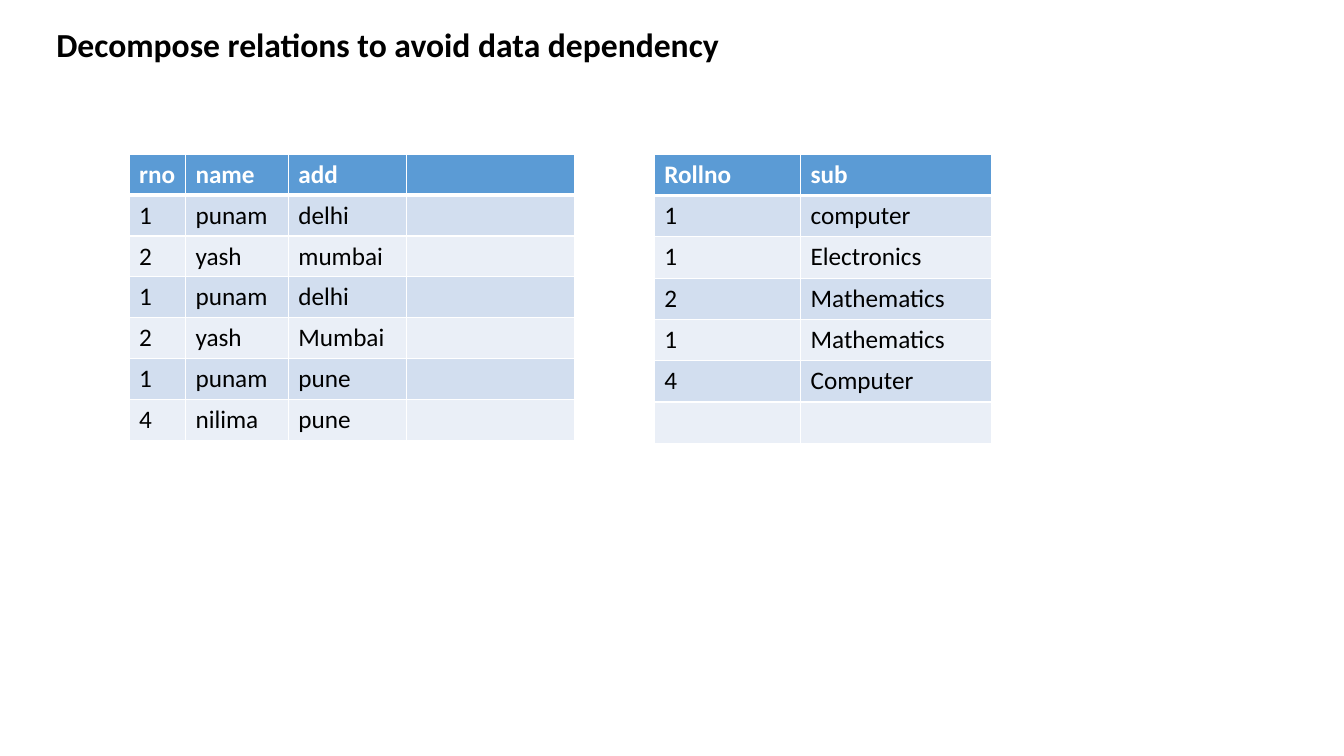
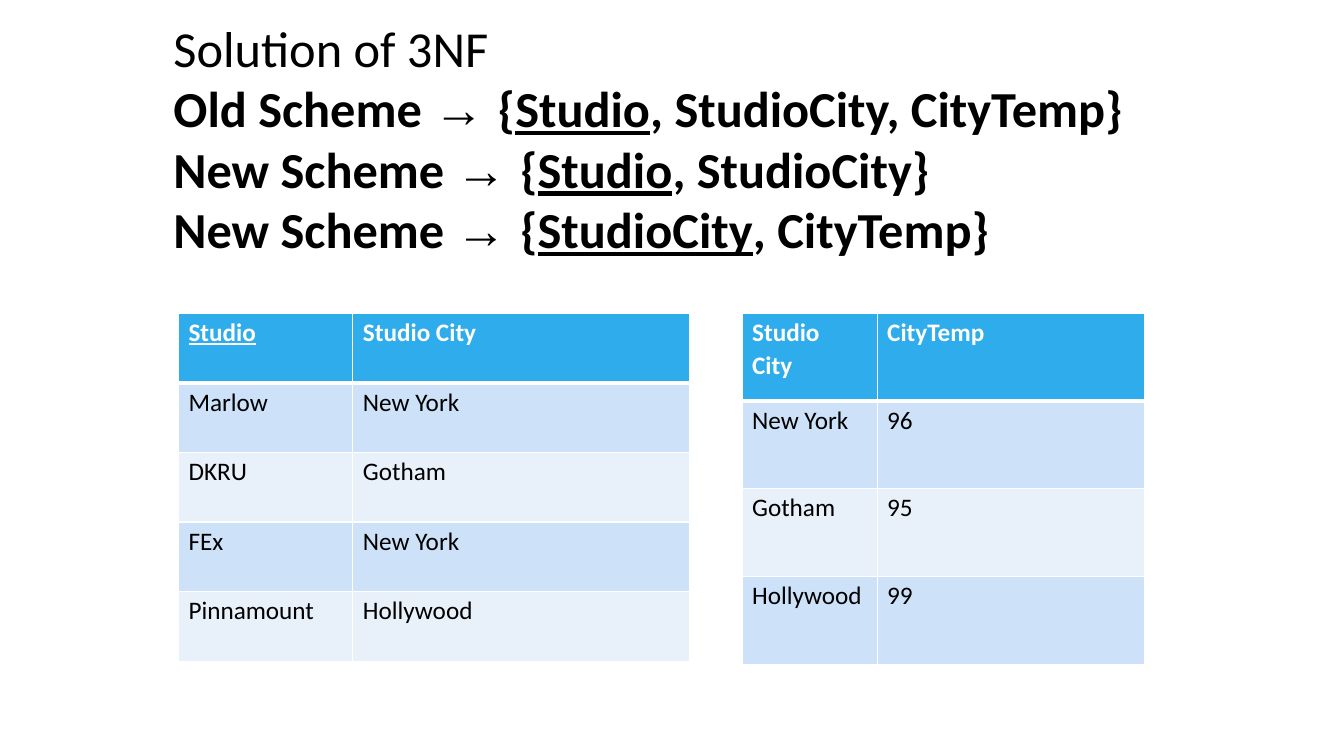
import pptx
import pptx.util
import pptx.dml.color
import pptx.enum.text
import pptx.oxml
import pptx.oxml.ns

PX = 9144  # EMU in one px, 100 px to the inch

THEME = {
    "font": "Calibri", "arrow_font": "Arial",
    "text": "000000", "header_text": "FFFFFF", "border": "FFFFFF",
    "title_size": 24, "scheme_size": 36, "cell_size": 18,
    "thin": 1, "thick": 3,
}

# Table looks: header fill, alternating row fills, insets (left, top, right, bottom)
STEEL = {"header": "5B9BD5", "bands": ("D2DEEF", "EAEFF7"),
         "insets": (10, 5, 10, 5), "before": (0, 0)}
SKY = {"header": "2FACEB", "bands": ("CDE2F8", "E8F0FA"),
       "insets": (10, 4, 0, 0), "before": (3, 1.6)}

# Content: underscores enclose underlined words, a line break starts a paragraph
DECOMPOSE_TITLE = "Decompose relations to avoid data dependency"
DECOMPOSE_TABLES = [
    {"at": (128, 153), "columns": (56, 102, 117, 167), "row_height": 40, "rows": [
        ("rno", "name", "add", ""),
        ("1", "punam", "delhi", ""),
        ("2", "yash", "mumbai", ""),
        ("1", "punam", "delhi", ""),
        ("2", "yash", "Mumbai", ""),
        ("1", "punam", "pune", ""),
        ("4", "nilima", "pune", "")]},
    {"at": (649, 153), "columns": (145, 189), "row_height": 41, "rows": [
        ("Rollno", "sub"),
        ("1", "computer"),
        ("1", "Electronics"),
        ("2", "Mathematics"),
        ("1", "Mathematics"),
        ("4", "Computer"),
        ("", "")]},
]

SOLUTION_TITLE = "Solution of 3NF"
SCHEMES = [
    ("Old Scheme ", "{_Studio_, StudioCity, CityTemp}"),
    ("New Scheme ", "{_Studio_, StudioCity}"),
    ("New Scheme ", "{_StudioCity_, CityTemp}"),
]
SOLUTION_TABLES = [
    {"at": (177, 311), "columns": (173, 334), "row_height": 69, "rows": [
        ("_Studio_", "Studio City"),
        ("Marlow", "New York"),
        ("DKRU", "Gotham"),
        ("FEx", "New York"),
        ("Pinnamount", "Hollywood")]},
    {"at": (736, 311), "columns": (134, 265), "row_height": 87, "rows": [
        ("Studio\nCity", "CityTemp"),
        ("New York", "96"),
        ("Gotham", "95"),
        ("Hollywood", "99")]},
]


def px(*lengths):
    return [pptx.util.Emu(length * PX) for length in lengths]


def rgb(color):
    return pptx.dml.color.RGBColor.from_string(color)


def add_runs(paragraph, text, size, color, bold=False, font=THEME["font"]):
    """Add text as runs; every second piece between underscores is underlined."""
    for index, piece in enumerate(text.split("_")):
        if piece:
            run = paragraph.add_run()
            run.text = piece
            run.font.size = pptx.util.Pt(size)
            run.font.name = font
            run.font.bold = bold
            run.font.underline = index % 2 == 1
            run.font.color.rgb = rgb(color)


def add_text_frame(slide, box, insets):
    frame = slide.shapes.add_textbox(*px(*box)).text_frame
    frame.word_wrap = True
    frame.auto_size = pptx.enum.text.MSO_AUTO_SIZE.NONE
    (frame.margin_left, frame.margin_top,
     frame.margin_right, frame.margin_bottom) = px(*insets)
    return frame


def set_borders(cell, top, bottom):
    """Outline a cell; the schema wants the lines ahead of the fill."""
    sides = {"L": THEME["thin"], "R": THEME["thin"], "T": top, "B": bottom}
    properties = cell._tc.get_or_add_tcPr()
    for index, (side, points) in enumerate(sides.items()):
        properties.insert(index, pptx.oxml.parse_xml(
            f'<a:ln{side} {pptx.oxml.ns.nsdecls("a")} w="{points * 12700}">'
            f'<a:solidFill><a:srgbClr val="{THEME["border"]}"/></a:solidFill>'
            f'</a:ln{side}>'))


def fill_cell(cell, text, row, look):
    is_header = row == 0
    cell.fill.solid()
    cell.fill.fore_color.rgb = rgb(
        look["header"] if is_header else look["bands"][(row - 1) % 2])
    set_borders(cell, THEME["thick" if row == 1 else "thin"],
                THEME["thick" if is_header else "thin"])
    (cell.margin_left, cell.margin_top,
     cell.margin_right, cell.margin_bottom) = px(*look["insets"])
    for index, line in enumerate(text.split("\n")):
        frame = cell.text_frame
        paragraph = frame.add_paragraph() if index else frame.paragraphs[0]
        paragraph.space_before = pptx.util.Pt(look["before"][min(index, 1)])
        add_runs(paragraph, line, THEME["cell_size"],
                 THEME["header_text" if is_header else "text"], is_header)


def add_relation(slide, relation, look):
    rows, columns = relation["rows"], relation["columns"]
    height = relation["row_height"]
    table = slide.shapes.add_table(
        len(rows), len(columns),
        *px(*relation["at"], sum(columns), height * len(rows))).table
    for column, width in zip(table.columns, px(*columns)):
        column.width = width
    for row, texts in enumerate(rows):
        table.rows[row].height = px(height)[0]
        for column, text in enumerate(texts):
            fill_cell(table.cell(row, column), text, row, look)


def build_decompose(slide):
    for relation in DECOMPOSE_TABLES:
        add_relation(slide, relation, STEEL)
    title = add_text_frame(slide, (46, 19, 778, 50), (10, 5, 10, 5))
    add_runs(title.paragraphs[0], DECOMPOSE_TITLE,
             THEME["title_size"], THEME["text"], bold=True)


def build_solution(slide):
    heading = add_text_frame(slide, (172, 16, 989, 243), (0, 1, 0, 0))
    size, color = THEME["scheme_size"], THEME["text"]
    heading.paragraphs[0].space_before = pptx.util.Pt(1)
    add_runs(heading.paragraphs[0], SOLUTION_TITLE, size, color)
    for label, attributes in SCHEMES:
        paragraph = heading.add_paragraph()
        add_runs(paragraph, label, size, color, bold=True)
        add_runs(paragraph, "→ ", size, color, bold=True, font=THEME["arrow_font"])
        add_runs(paragraph, attributes, size, color, bold=True)
    for relation in SOLUTION_TABLES:
        add_relation(slide, relation, SKY)


def main():
    deck = pptx.Presentation()
    deck.slide_width, deck.slide_height = px(1333, 750)
    for build in (build_decompose, build_solution):
        build(deck.slides.add_slide(deck.slide_layouts[6]))
    deck.save("out.pptx")


if __name__ == "__main__":
    main()
